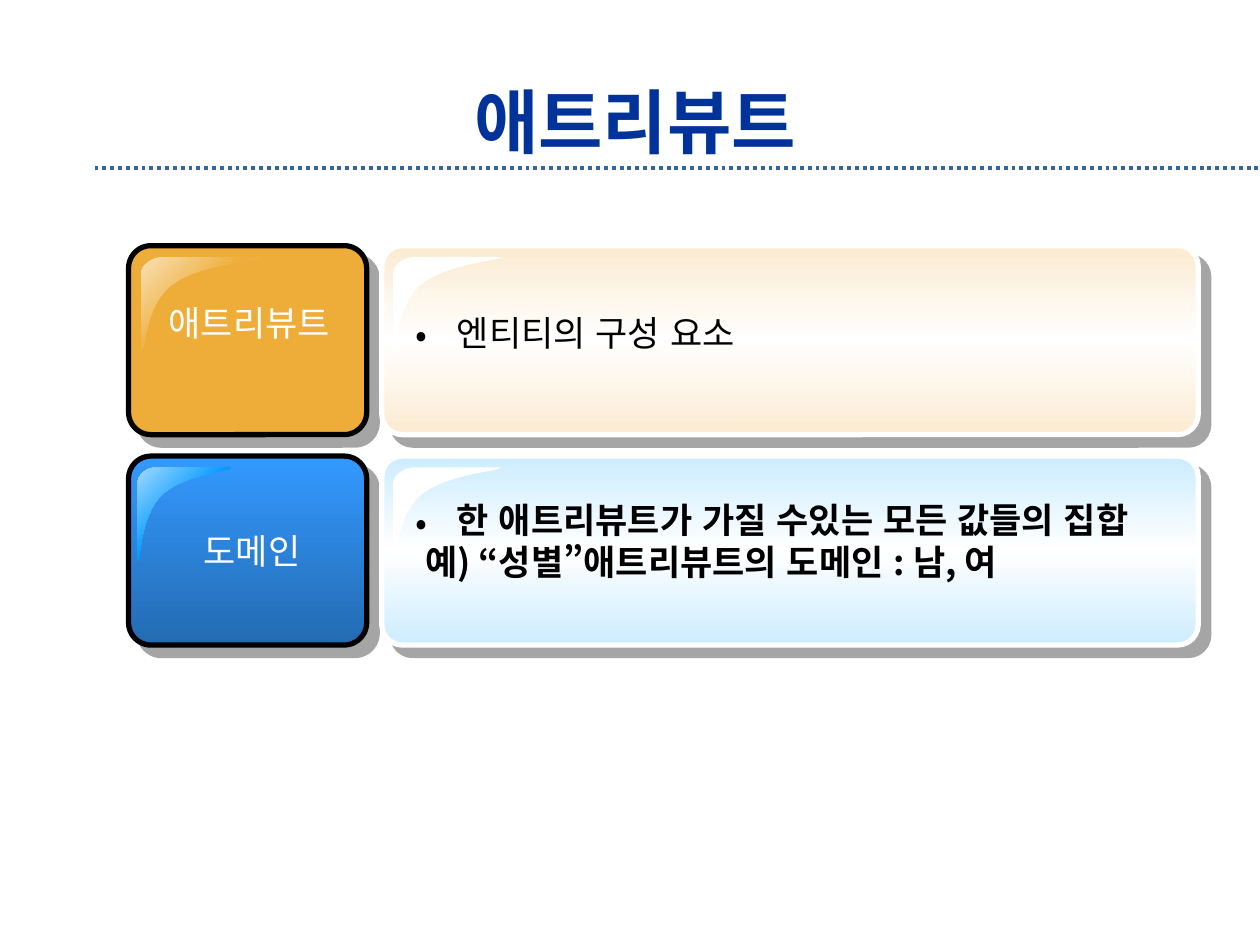
"""Build the attribute and domain definition slide."""
from lxml import etree
from pptx import Presentation
from pptx.dml.color import RGBColor
from pptx.enum.dml import MSO_LINE
from pptx.enum.lang import MSO_LANGUAGE_ID
from pptx.enum.shapes import MSO_CONNECTOR, MSO_SHAPE
from pptx.enum.text import MSO_ANCHOR, PP_ALIGN
from pptx.oxml.ns import qn
from pptx.util import Inches, Pt

ROUNDED = MSO_SHAPE.ROUNDED_RECTANGLE
STRAIGHT = MSO_CONNECTOR.STRAIGHT
DOTTED = MSO_LINE.ROUND_DOT
KOREAN = MSO_LANGUAGE_ID.KOREAN
MIDDLE, TOP = MSO_ANCHOR.MIDDLE, MSO_ANCHOR.TOP
CENTER, LEFT = PP_ALIGN.CENTER, PP_ALIGN.LEFT

FONT = "Noto Sans CJK KR"
TITLE = "애트리뷰트"
ROWS = [
    {
        "label": "애트리뷰트", "label_at": (1.21, 2.34, 1.54, 0.44),
        "tile": ["EEAD38"], "tile_gloss": ["F9E1B6", "EEAD38", "F9E1B6"],
        "gloss_at": (0.1, 0.94),
        "lines": [" 엔티티의 구성 요소"], "lines_at": (3.2, 2.42, 5.82, 0.44),
        "bold": False, "panel": ["FBEBD1", "FFFFFF", "FBEBD1"],
    },
    {
        "label": "도메인", "label_at": (1.5, 4.15, 1, 0.44),
        "tile": ["3399FF", "246BB2"], "tile_gloss": ["A2DAFF", "0099FF", "A2DAFF"],
        "gloss_at": (0.07, 0.75),
        "lines": [" 한 애트리뷰트가 가질 수있는 모든 값들의 집합",
                  " 예) “성별”애트리뷰트의 도메인 : 남, 여"],
        "lines_at": (3.2, 3.91, 6.17, 0.77),
        "bold": True, "panel": ["CCECFF", "FFFFFF", "CCECFF"],
    },
]
ROW_TOP, ROW_STEP, ROW_HEIGHT = 1.95, 1.67, 1.5
TILE_LEFT, TILE_WIDTH = 1.02, 1.89
PANEL_LEFT, PANEL_WIDTH = 3.03, 6.48
GLOSS_HEIGHT, GLOSS_DROP = 0.75, 0.09
GLOSS_START = (0.2, 0)
GLOSS_SEGMENTS = [
    [(0.09, 0), (0, 0.08), (0, 0.18)],
    [(0, 0.98)],
    [(0.04, 1), (0.02, 0.51), (0.27, 0.28)],
    [(0.52, 0.06), (1, 0.04), (0.99, 0)],
]


def rgb(value):
    return RGBColor.from_string(value)


def add_child(parent, tag, **attributes):
    return etree.SubElement(parent, qn(tag), attributes)


def paint(shape, colours, angle):
    if len(colours) == 1:
        shape.fill.solid()
        shape.fill.fore_color.rgb = rgb(colours[0])
        return
    shape.fill.gradient()
    shape.fill.gradient_angle = 360 - angle
    stops = shape._element.spPr.find(qn("a:gradFill")).find(qn("a:gsLst"))
    for stop in list(stops):
        stops.remove(stop)
    for index, colour in enumerate(colours):
        position = 100000 * index // (len(colours) - 1)
        stop = add_child(stops, "a:gs", pos=str(position))
        add_child(stop, "a:srgbClr", val=colour)


def add_card(shapes, box, radius, colours, outline):
    card = shapes.add_shape(ROUNDED, *map(Inches, box))
    card.adjustments[0] = radius
    paint(card, colours, 90)
    card.line.color.rgb = rgb(outline)
    card.line.width = Pt(3)
    card.shadow.inherit = False
    effects = card._element.spPr.find(qn("a:effectLst"))
    shadow = add_child(effects, "a:outerShdw", dist=str(Pt(8.5)), dir="2700000",
                       algn="ctr", rotWithShape="0")
    add_child(add_child(shadow, "a:srgbClr", val="4D4D4D"), "a:alpha", val="50000")


def add_gloss(shapes, left, top, width, colours):
    def scaled(point):
        return Inches(width * point[0]), Inches(GLOSS_HEIGHT * point[1])

    builder = shapes.build_freeform(*scaled(GLOSS_START))
    builder.add_line_segments([scaled(segment[-1]) for segment in GLOSS_SEGMENTS])
    gloss = builder.convert_to_shape(Inches(left), Inches(top))
    gloss.height = Inches(GLOSS_HEIGHT)
    outline = next(gloss._element.iter(qn("a:path")))
    outline.set("h", str(Inches(GLOSS_HEIGHT)))
    for line, segment in zip(list(outline)[1:], GLOSS_SEGMENTS):
        if len(segment) == 3:
            curve = etree.Element(qn("a:cubicBezTo"))
            for x, y in map(scaled, segment):
                add_child(curve, "a:pt", x=str(x), y=str(y))
            outline.replace(line, curve)
    add_child(outline, "a:close")
    paint(gloss, colours, 45)
    gloss.line.fill.background()
    gloss.shadow.inherit = False


def add_text(shapes, box, lines, size, colour, bold=False, align=CENTER,
             anchor=TOP, wrap=False, inset=(0.1, 0.05), bullet=False):
    frame = shapes.add_textbox(*map(Inches, box)).text_frame
    across, down = map(Inches, inset)
    settings = {"word_wrap": wrap, "vertical_anchor": anchor,
                "margin_left": across, "margin_right": across,
                "margin_top": down, "margin_bottom": down}
    for name, value in settings.items():
        setattr(frame, name, value)
    style = {"name": FONT, "size": Pt(size), "bold": bold, "language_id": KOREAN}
    for index, line in enumerate(lines):
        paragraph = frame.paragraphs[0] if index == 0 else frame.add_paragraph()
        paragraph.alignment = align
        run = paragraph.add_run()
        run.text = line
        for name, value in style.items():
            setattr(run.font, name, value)
        run.font.color.rgb = rgb(colour)
        add_child(run._r.get_or_add_rPr(), "a:ea", typeface=FONT)
        if bullet and index == 0:
            properties = paragraph._p.get_or_add_pPr()
            properties.set("marL", str(Inches(0.25)))
            properties.set("indent", str(Inches(-0.25)))
            add_child(add_child(properties, "a:buClr"), "a:srgbClr", val=colour)
            add_child(properties, "a:buFont", typeface=FONT)
            add_child(properties, "a:buChar", char="•")


def add_row(slide, row, top):
    tile = slide.shapes.add_group_shape().shapes
    add_card(tile, (TILE_LEFT, top, TILE_WIDTH, ROW_HEIGHT), 0.119, row["tile"], "000000")
    inset, width = row["gloss_at"]
    add_gloss(tile, TILE_LEFT + inset, top + GLOSS_DROP, width, row["tile_gloss"])
    add_text(slide.shapes, row["label_at"], [row["label"]], 20, "FFFFFF")
    panel = slide.shapes.add_group_shape().shapes
    add_card(panel, (PANEL_LEFT, top, PANEL_WIDTH, ROW_HEIGHT), 0.109, row["panel"], "FFFFFF")
    add_gloss(panel, PANEL_LEFT + 0.09, top + GLOSS_DROP, 0.86, ["FFFFFF"])
    add_text(panel, row["lines_at"], row["lines"], 20, "000000", row["bold"],
             align=LEFT, wrap=True, bullet=True)


def main():
    deck = Presentation()
    deck.slide_width, deck.slide_height = Inches(10), Inches(7.5)
    slide = deck.slides.add_slide(deck.slide_layouts[6])
    rule = slide.shapes.add_connector(STRAIGHT, *map(Inches, (0.75, 1.33, 10, 1.33)))
    for name, value in {"width": Pt(2.25), "dash_style": DOTTED}.items():
        setattr(rule.line, name, value)
    rule.line.color.rgb = rgb("336699")
    add_child(rule._element.spPr, "a:effectLst")
    add_text(slide.shapes, (0.75, 0.67, 8.58, 0.58), [TITLE], 40, "003399", bold=True,
             anchor=MIDDLE, wrap=True, inset=(0, 0))
    for index, row in enumerate(ROWS):
        add_row(slide, row, ROW_TOP + index * ROW_STEP)
    deck.save("out.pptx")


if __name__ == "__main__":
    main()
